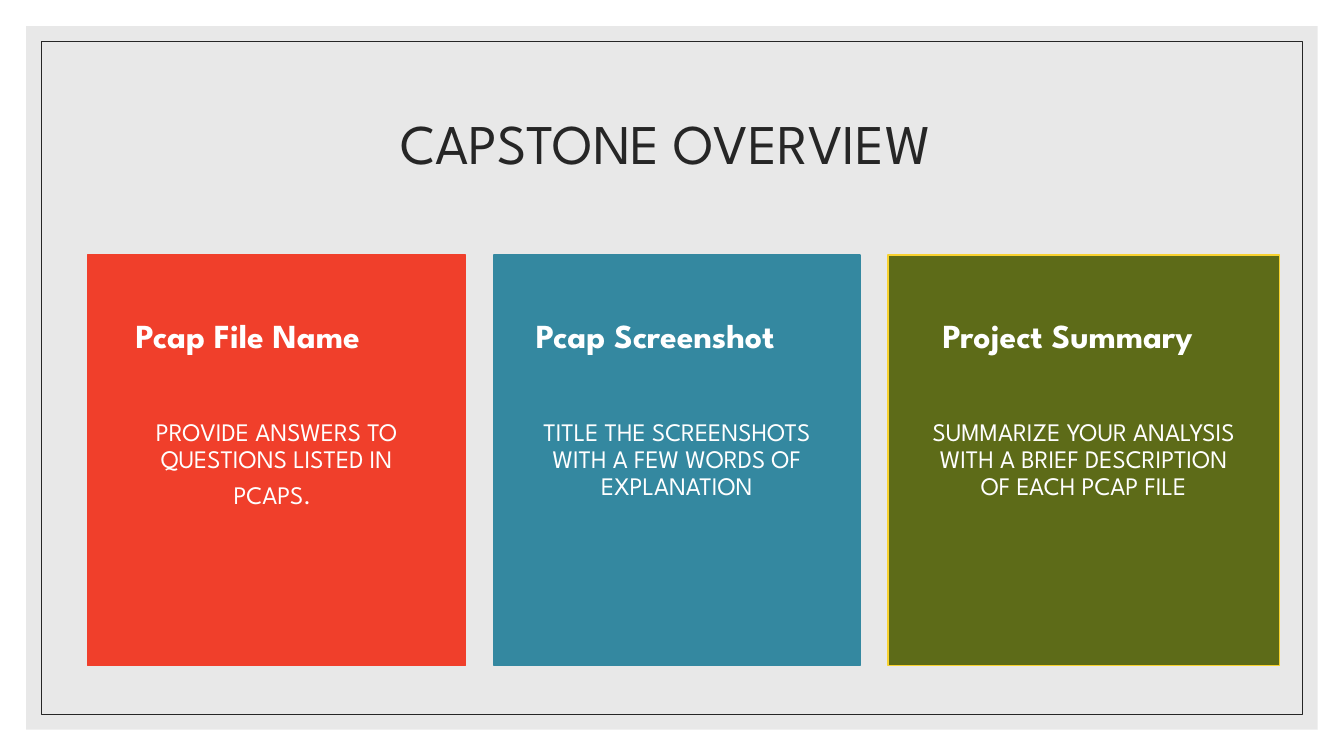
from dataclasses import dataclass

from lxml.etree import SubElement
from pptx import Presentation
from pptx.dml.color import RGBColor
from pptx.enum.shapes import MSO_SHAPE
from pptx.enum.text import MSO_ANCHOR, MSO_AUTO_SIZE, PP_ALIGN
from pptx.oxml.ns import qn
from pptx.util import Cm, Pt


@dataclass(frozen=True)
class Theme:
    font: str = "League Spartan"
    white: str = "FFFFFF"
    ink: str = "262626"
    panel: str = "D9D9D9"
    panel_alpha: int = 60
    red: str = "F03F2B"
    blue: str = "3488A0"
    olive: str = "5D6B18"
    gold: str = "F8D22F"
    title: int = 40
    heading: int = 24
    body: int = 18
    end_space: int = 25


THEME = Theme()
WIDTH, HEIGHT = 33.87, 19.05
CARD_LEFT, CARD_TOP, CARD_GAP = 2.21, 6.43, 0.71
HEADING_WIDTH, HEADING_HEIGHT, BODY_HEIGHT = 8.89, 4.14, 6.2
CARDS = [
    (9.53, THEME.red, THEME.red, "Pcap File Name",
     [("PROVIDE ANSWERS TO QUESTIONS LISTED IN PCAPS.", THEME.body), (" ", THEME.end_space)]),
    (9.22, THEME.blue, THEME.blue, "Pcap Screenshot",
     [("TITLE THE SCREENSHOTS WITH A FEW WORDS OF EXPLANATION", THEME.body)]),
    (9.86, THEME.olive, THEME.gold, "Project Summary",
     [("SUMMARIZE YOUR ANALYSIS WITH A BRIEF DESCRIPTION OF EACH PCAP FILE", THEME.body)]),
]


def apply(target, formats):
    for name, value in formats.items():
        setattr(target, name, value)


def add_rect(shapes, box, fill=None, line=None, weight=1, alpha=None):
    sp = shapes.add_shape(MSO_SHAPE.RECTANGLE, *map(Cm, box))
    sp.shadow.inherit = False
    if fill:
        sp.fill.solid()
        sp.fill.fore_color.rgb = RGBColor.from_string(fill)
    else:
        sp.fill.background()
    if alpha:
        color = sp._element.spPr.find(qn("a:solidFill"))[0]
        SubElement(color, qn("a:alpha"), val=str(alpha * 1000))
    if line:
        sp.line.color.rgb = RGBColor.from_string(line)
        sp.line.width = Pt(weight)
    else:
        sp.line.fill.background()


def write_text(tf, runs, color, align, anchor, bold=False, margins=None):
    apply(tf, {"word_wrap": True, "auto_size": MSO_AUTO_SIZE.NONE, "vertical_anchor": anchor})
    apply(tf, {f"margin_{side}": Cm(value) for side, value in (margins or {}).items()})
    p = tf.paragraphs[0]
    apply(p, {"alignment": align, "line_spacing": 0.9})
    for text, size in runs:
        r = p.add_run()
        r.text = text
        apply(r.font, {"name": THEME.font, "size": Pt(size), "bold": bold})
        r.font.color.rgb = RGBColor.from_string(color)


def add_text(shapes, box, runs, align, anchor, bold, top, bottom):
    tf = shapes.add_textbox(*map(Cm, box)).text_frame
    margins = {"left": 0.89, "right": 0.89, "top": top, "bottom": bottom}
    write_text(tf, runs, THEME.white, align, anchor, bold, margins)


def add_card(s, left, width, fill, line, heading, body):
    shapes = s.shapes.add_group_shape().shapes
    add_rect(shapes, (left, CARD_TOP, width, HEADING_HEIGHT + BODY_HEIGHT), fill, line)
    add_text(shapes, (left, CARD_TOP + HEADING_HEIGHT, width, BODY_HEIGHT), body,
             PP_ALIGN.CENTER, MSO_ANCHOR.TOP, False, 0, 0.91)
    heading_left = left + (width - HEADING_WIDTH) / 2
    add_text(shapes, (heading_left, CARD_TOP, HEADING_WIDTH, HEADING_HEIGHT),
             [(heading, THEME.heading)], PP_ALIGN.LEFT, MSO_ANCHOR.MIDDLE, True, 0.46, 0.46)


def add_backdrop(s):
    s.background.fill.solid()
    s.background.fill.fore_color.rgb = RGBColor.from_string(THEME.white)
    for inset, formats in (
        (0.66, {"fill": THEME.panel, "alpha": THEME.panel_alpha}),
        (1.04, {"line": THEME.ink, "weight": 0.5}),
    ):
        add_rect(s.shapes, (inset, inset, WIDTH - 2 * inset, HEIGHT - 2 * inset), **formats)


def set_title(s, text):
    sp = s.shapes.title
    apply(sp, {"left": Cm(2.97), "top": Cm(1.78), "width": Cm(27.94), "height": Cm(3.81)})
    write_text(sp.text_frame, [(text, THEME.title)], THEME.ink,
               PP_ALIGN.CENTER, MSO_ANCHOR.MIDDLE)
    s.shapes._spTree.append(sp._element)


def main():
    prs = Presentation()
    apply(prs, {"slide_width": Cm(WIDTH), "slide_height": Cm(HEIGHT)})
    s = prs.slides.add_slide(prs.slide_layouts.get_by_name("Title Only"))
    add_backdrop(s)
    set_title(s, "CAPSTONE OVERVIEW ")
    left = CARD_LEFT
    for width, *content in CARDS:
        add_card(s, left, width, *content)
        left += width + CARD_GAP
    prs.save("out.pptx")


if __name__ == "__main__":
    main()
